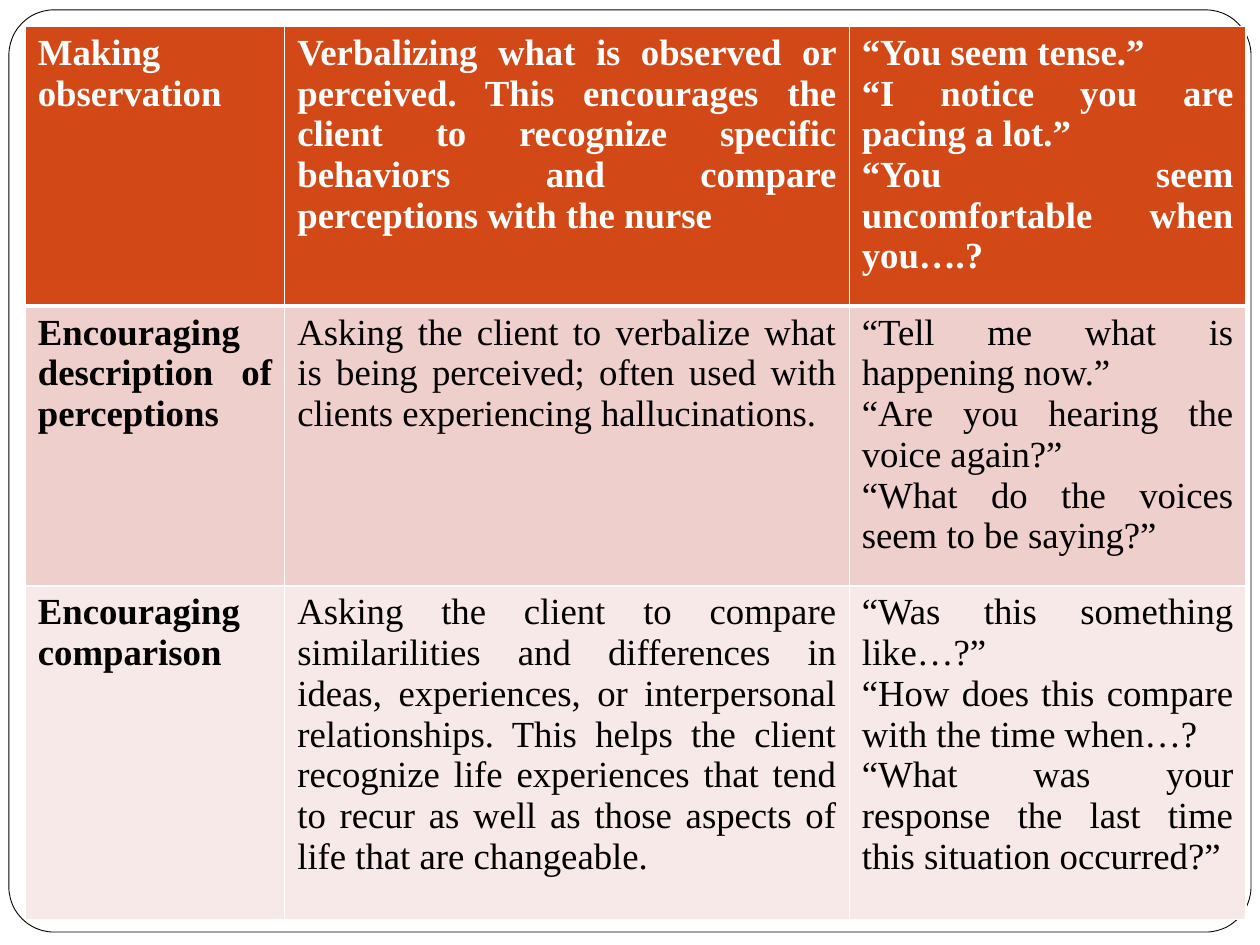
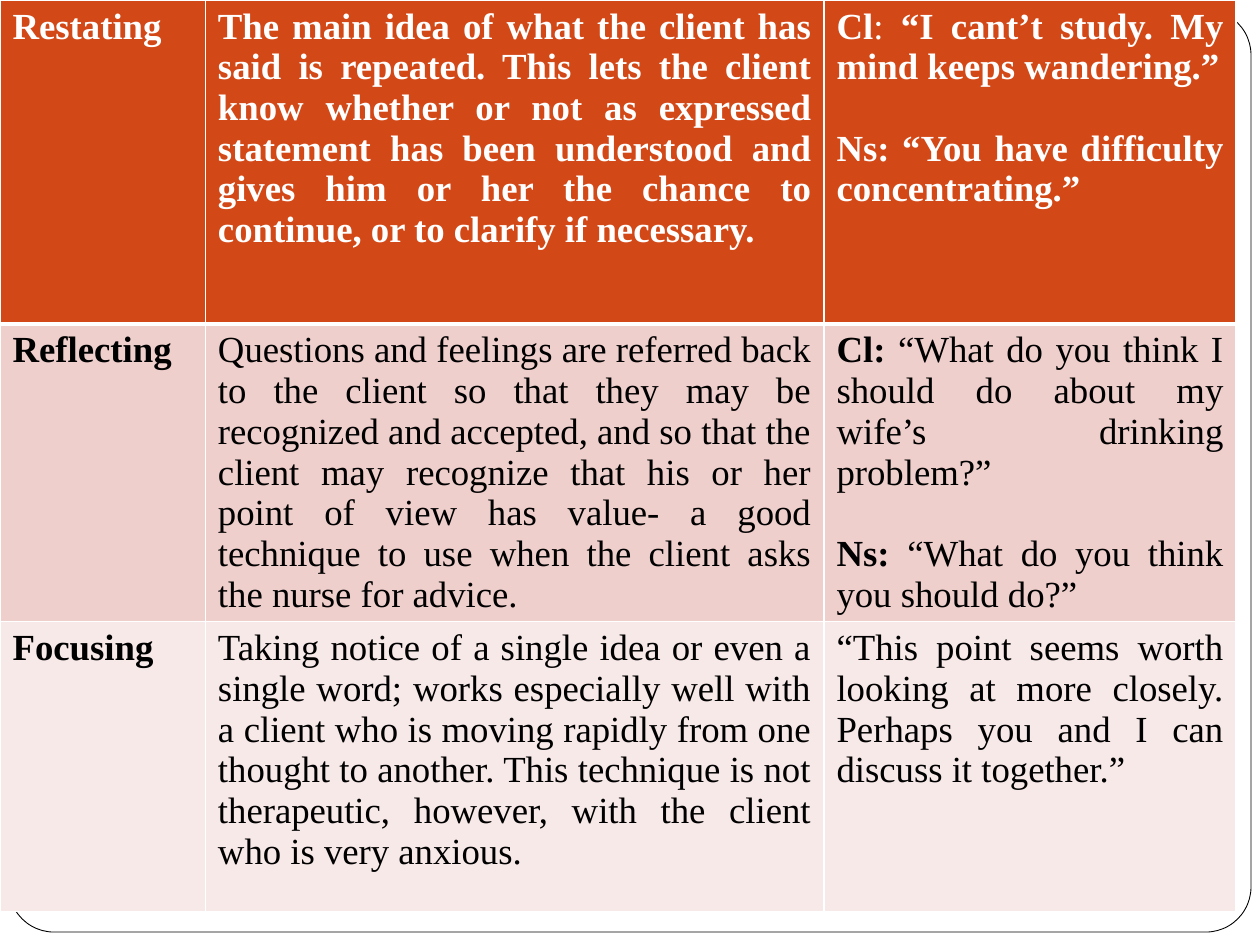
from lxml.etree import SubElement
from pptx import Presentation
from pptx.dml.color import RGBColor
from pptx.enum.shapes import MSO_SHAPE as Shape
from pptx.enum.text import PP_ALIGN as Align
from pptx.oxml.ns import qn
from pptx.util import Cm, Pt

WHITE = RGBColor(0xFF, 0xFF, 0xFF)
BLACK = RGBColor(0x00, 0x00, 0x00)
ORANGE = RGBColor(0xD3, 0x48, 0x17)
ROSE = RGBColor(0xEF, 0xCF, 0xCC)
PALE_ROSE = RGBColor(0xF7, 0xE9, 0xE8)
ROW_FILLS = (ORANGE, ROSE, PALE_ROSE)

FONT = "Times New Roman"
TEXT_SIZE = Pt(21)
TURN_GAP = Pt(23.25)
FRAME_BOX = (0.18, 0.2, 25.04, 18.59)

OBSERVING = dict(
    box=(0.51, 0.53),
    widths=(5.23, 11.38, 8.0),
    heights=(5.64, 5.64, 6.73),
    rows=[
        (["Making observation"],
         ["Verbalizing what is observed or perceived. This encourages the client to "
          "recognize specific behaviors and compare perceptions with the nurse"],
         ["“You seem tense.”",
          "“I notice you are pacing a lot.”",
          "“You seem uncomfortable when you….?"]),
        (["Encouraging description of perceptions"],
         ["Asking the client to verbalize what is being perceived; often used with "
          "clients experiencing hallucinations."],
         ["“Tell me what is happening now.”",
          "“Are you hearing the voice again?”",
          "“What do the voices seem to be saying?”"]),
        (["Encouraging comparison"],
         ["Asking the client to compare similarilities and differences in ideas, "
          "experiences, or interpersonal relationships. This helps the client recognize "
          "life experiences that tend to recur as well as those aspects of life that "
          "are changeable."],
         ["“Was this something like…?”",
          "“How does this compare with the time when…?",
          "“What was your response the last time this situation occurred?”"]),
    ],
)

RESTATING = dict(
    box=(0, 0),
    widths=(4.14, 12.47, 8.31),
    heights=(6.53, 5.99, 5.84),
    rows=[
        (["Restating"],
         ["The main idea of what the client has said is repeated. This lets the client "
          "know whether or not as expressed statement has been understood and gives him "
          "or her the chance to continue, or to clarify if necessary."],
         [("Cl", ": ", "“I cant’t study. My mind keeps wandering.”"),
          ("Ns: “You have difficulty concentrating.”",)]),
        (["Reflecting"],
         ["Questions and feelings are referred back to the client so that they may be "
          "recognized and accepted, and so that the client may recognize that his or her "
          "point of view has value- a good technique to use when the client asks the "
          "nurse for advice."],
         [("Cl: ", "“What do you think I should do about my wife’s drinking problem?”"),
          ("Ns: ", "“What do you think you should do?”")]),
        (["Focusing"],
         ["Taking notice of a single idea or even a single word; works especially well "
          "with a client who is moving rapidly from one thought to another. This "
          "technique is not therapeutic, however, with the client who is very anxious."],
         ["“This point seems worth looking at more closely. Perhaps you and I can "
          "discuss it together.”"]),
    ],
)


def add_frame(page, box):
    """Draw the thin rounded frame shared by the slides."""
    frame = page.shapes.add_shape(Shape.ROUNDED_RECTANGLE, *map(Cm, box))
    frame.adjustments[0] = 0.049
    frame.shadow.inherit = False
    frame.fill.solid()
    frame.fill.fore_color.rgb = WHITE
    frame.line.color.rgb = BLACK
    frame.line.width = Pt(0.5)


def set_borders(cell, **widths):
    """Give a cell white borders, one width for each named side."""
    properties = cell._tc.get_or_add_tcPr()
    for side, width in widths.items():
        line = SubElement(properties, qn(f"a:ln{side}"), w=str(Pt(width)))
        fill = SubElement(line, qn("a:solidFill"))
        SubElement(fill, qn("a:srgbClr"), val=str(WHITE))


def write(frame, paragraphs, *, color, bold):
    """Write justified paragraphs; the parts of a dialogue turn alternate from bold."""
    for index, content in enumerate(paragraphs):
        para = frame.add_paragraph() if index else frame.paragraphs[0]
        para.alignment = Align.JUSTIFY
        is_turn = isinstance(content, tuple)
        if is_turn and index:
            para.space_before = TURN_GAP
        for part, text in enumerate(content if is_turn else (content,)):
            span = para.add_run()
            span.text = text
            span.font.name = FONT
            span.font.size = TEXT_SIZE
            span.font.color.rgb = color
            span.font.bold = part % 2 == 0 if is_turn else bold


def add_technique_table(page, box, widths, heights, rows):
    """Place a table of technique, explanation and example from its top left corner."""
    sizes = (Cm(sum(widths)), Cm(sum(heights)))
    table = page.shapes.add_table(len(rows), len(widths), *map(Cm, box), *sizes).table
    table.horz_banding = False
    for column, width in zip(table.columns, widths):
        column.width = Cm(width)
    for index, (row, height, fill) in enumerate(zip(table.rows, heights, ROW_FILLS)):
        row.height = Cm(height)
        is_header = index == 0
        for place, (cell, paragraphs) in enumerate(zip(row.cells, rows[index])):
            set_borders(cell, L=1, R=1, T=3 if index == 1 else 1, B=3 if is_header else 1)
            cell.fill.solid()
            cell.fill.fore_color.rgb = fill
            write(cell.text_frame, paragraphs, color=WHITE if is_header else BLACK,
                  bold=is_header or place == 0)


def main():
    """Build and save the deck."""
    deck = Presentation()
    deck.slide_width, deck.slide_height = Cm(25.4), Cm(19.05)
    for techniques in (OBSERVING, RESTATING):
        page = deck.slides.add_slide(deck.slide_layouts[6])
        add_frame(page, FRAME_BOX)
        add_technique_table(page, **techniques)
    deck.save("out.pptx")


if __name__ == "__main__":
    main()
